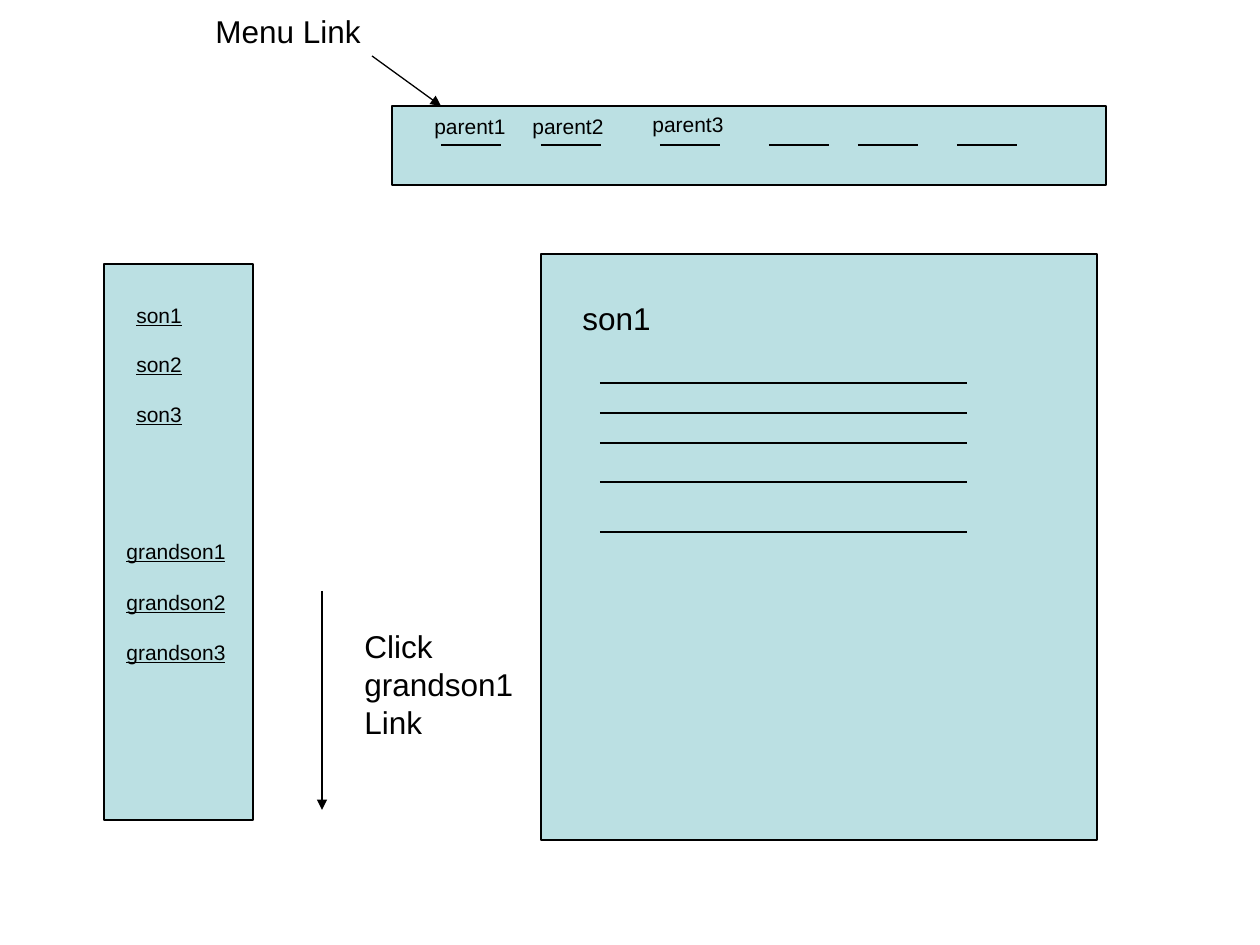
import dataclasses

import lxml.etree
import pptx
import pptx.dml.color
import pptx.enum.dml
import pptx.enum.shapes
import pptx.enum.text
import pptx.oxml.ns
import pptx.slide
import pptx.util

EMU_PER_PX = 914400 / 126
BLACK = pptx.dml.color.RGBColor(0x00, 0x00, 0x00)
PALE_TEAL = pptx.dml.color.RGBColor(0xBB, 0xE0, 0xE3)
LINE_WIDTH = pptx.util.Pt(0.75)


@dataclasses.dataclass(frozen=True)
class Panel:
    left: int
    top: int
    width: int
    height: int


@dataclasses.dataclass(frozen=True)
class Line:
    start_x: int
    start_y: int
    end_x: int
    end_y: int
    arrow: bool = False


@dataclasses.dataclass(frozen=True)
class Label:
    text: str
    left: int
    top: int
    width: int
    height: int = 38
    size: int = 12
    underline: bool = False


def px(length: int) -> pptx.util.Emu:
    return pptx.util.Emu(round(length * EMU_PER_PX))


def draw_panel(page: pptx.slide.Slide, panel: Panel) -> None:
    box = page.shapes.add_shape(
        pptx.enum.shapes.MSO_SHAPE.RECTANGLE,
        px(panel.left), px(panel.top), px(panel.width), px(panel.height),
    )
    box.shadow.inherit = False
    box.fill.solid()
    box.fill.fore_color.rgb = PALE_TEAL
    box.line.color.rgb = BLACK
    box.line.width = LINE_WIDTH


def draw_line(page: pptx.slide.Slide, line: Line) -> None:
    connector = page.shapes.add_connector(
        pptx.enum.shapes.MSO_CONNECTOR.STRAIGHT,
        px(line.start_x), px(line.start_y), px(line.end_x), px(line.end_y),
    )
    connector.line.color.rgb = BLACK
    connector.line.width = LINE_WIDTH
    properties = connector._element.spPr
    if line.arrow:
        outline = properties.find(pptx.oxml.ns.qn("a:ln"))
        lxml.etree.SubElement(outline, pptx.oxml.ns.qn("a:tailEnd"), type="triangle")
    lxml.etree.SubElement(properties, pptx.oxml.ns.qn("a:effectLst"))


def draw_label(page: pptx.slide.Slide, label: Label) -> None:
    box = page.shapes.add_textbox(
        px(label.left), px(label.top), px(label.width), px(label.height)
    )
    frame = box.text_frame
    frame.word_wrap = True
    frame.auto_size = pptx.enum.text.MSO_AUTO_SIZE.SHAPE_TO_FIT_TEXT
    para = frame.paragraphs[0]
    para.space_before = pptx.util.Pt(label.size * 0.625)
    span = para.add_run()
    span.text = label.text
    span.font.name = "Arial"
    span.font.size = pptx.util.Pt(label.size)
    span.font.color.rgb = BLACK
    if label.underline:
        span.font.underline = True


MENU_BAR = [
    Panel(392, 106, 714, 79),
    *(Line(x, 145, x + 60, 145) for x in (441, 541, 660, 769, 858, 957)),
    Line(372, 56, 441, 106, arrow=True),
    Label("Menu Link", 203, 6, 179, height=50, size=18),
    Label("parent1", 422, 107, 100),
    Label("parent2", 520, 107, 100),
    Label("parent3", 640, 105, 100),
]

SIDEBAR = [
    Panel(104, 264, 149, 556),
    *(
        Label(f"son{number}", 124, top, 100, underline=True)
        for number, top in enumerate((296, 345, 395), start=1)
    ),
    *(
        Label(f"grandson{number}", 114, top, 169, underline=True)
        for number, top in enumerate((532, 583, 633), start=1)
    ),
]

CONTENT = [
    Panel(541, 254, 556, 586),
    Label("son1", 570, 293, 129, height=50, size=18),
    *(Line(600, y, 967, y) for y in (383, 413, 443, 482, 532)),
]

CLICK_NOTE = [
    Line(322, 591, 322, 810, arrow=True),
    Label("Click grandson1 Link", 352, 621, 179, height=126, size=18),
]

DRAWERS = {Panel: draw_panel, Line: draw_line, Label: draw_label}


def main() -> None:
    deck = pptx.Presentation()
    deck.slide_width = px(1260)
    deck.slide_height = px(945)
    page = deck.slides.add_slide(deck.slide_layouts[6])
    for item in MENU_BAR + SIDEBAR + CONTENT + CLICK_NOTE:
        DRAWERS[type(item)](page, item)
    deck.save("out.pptx")


if __name__ == "__main__":
    main()
